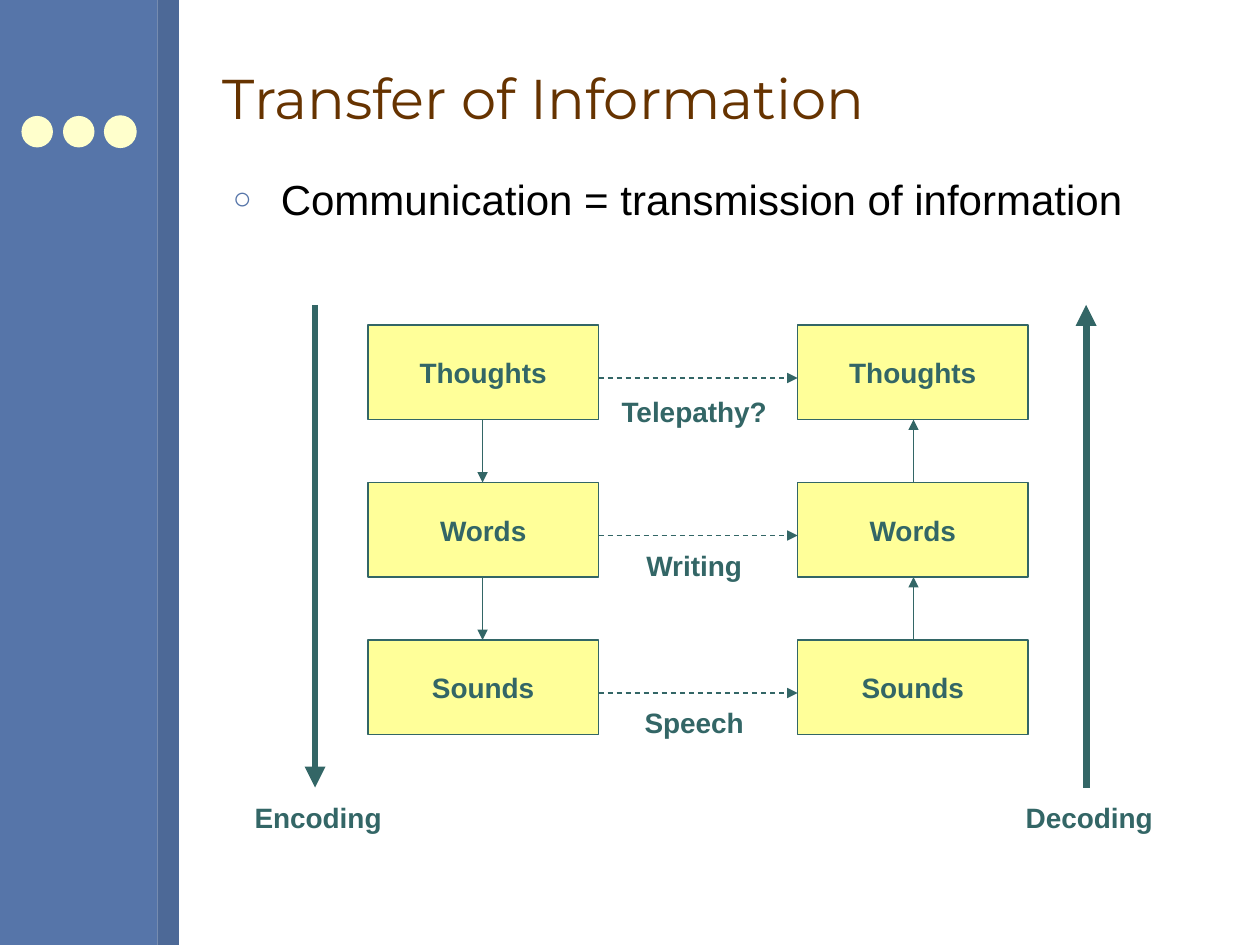
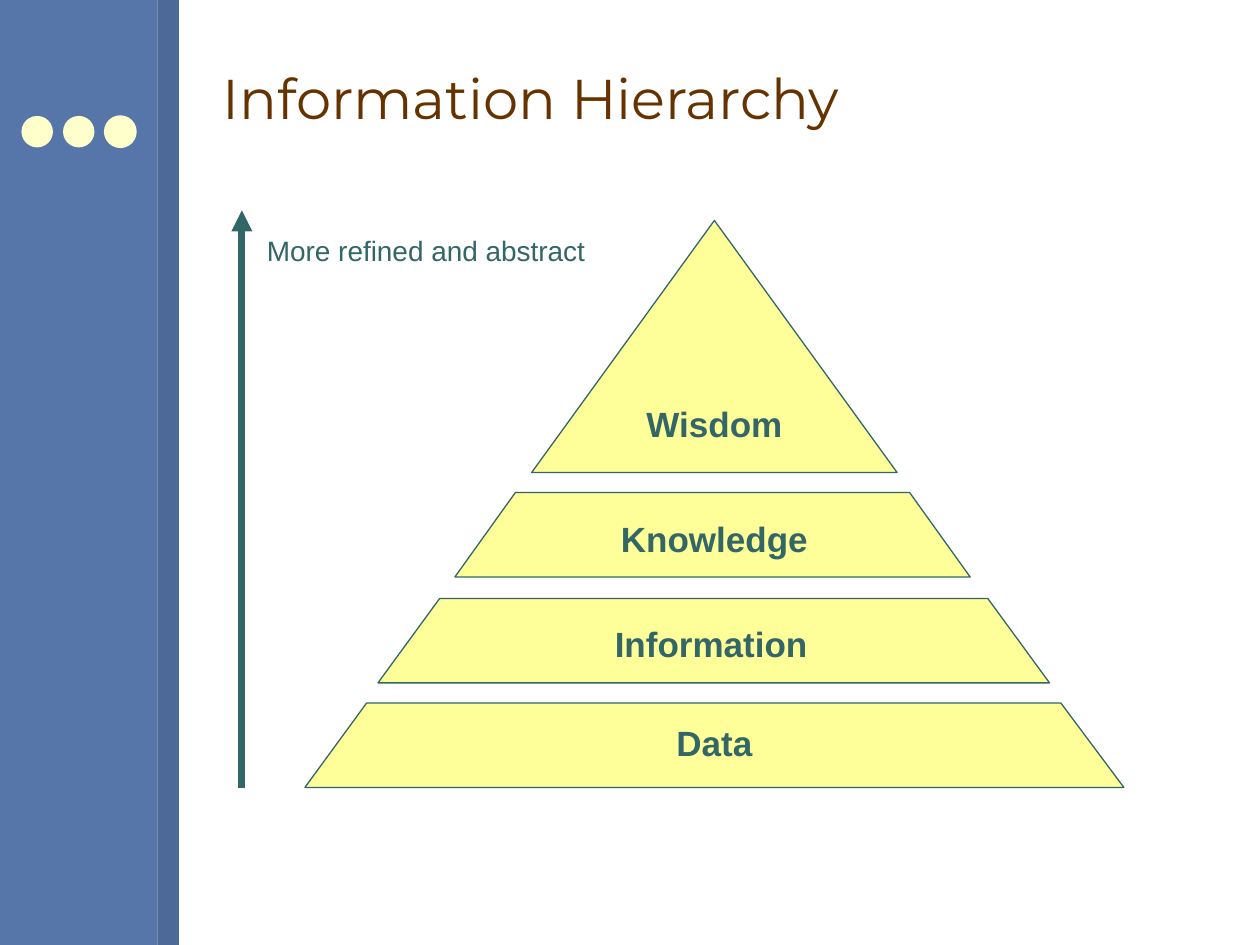
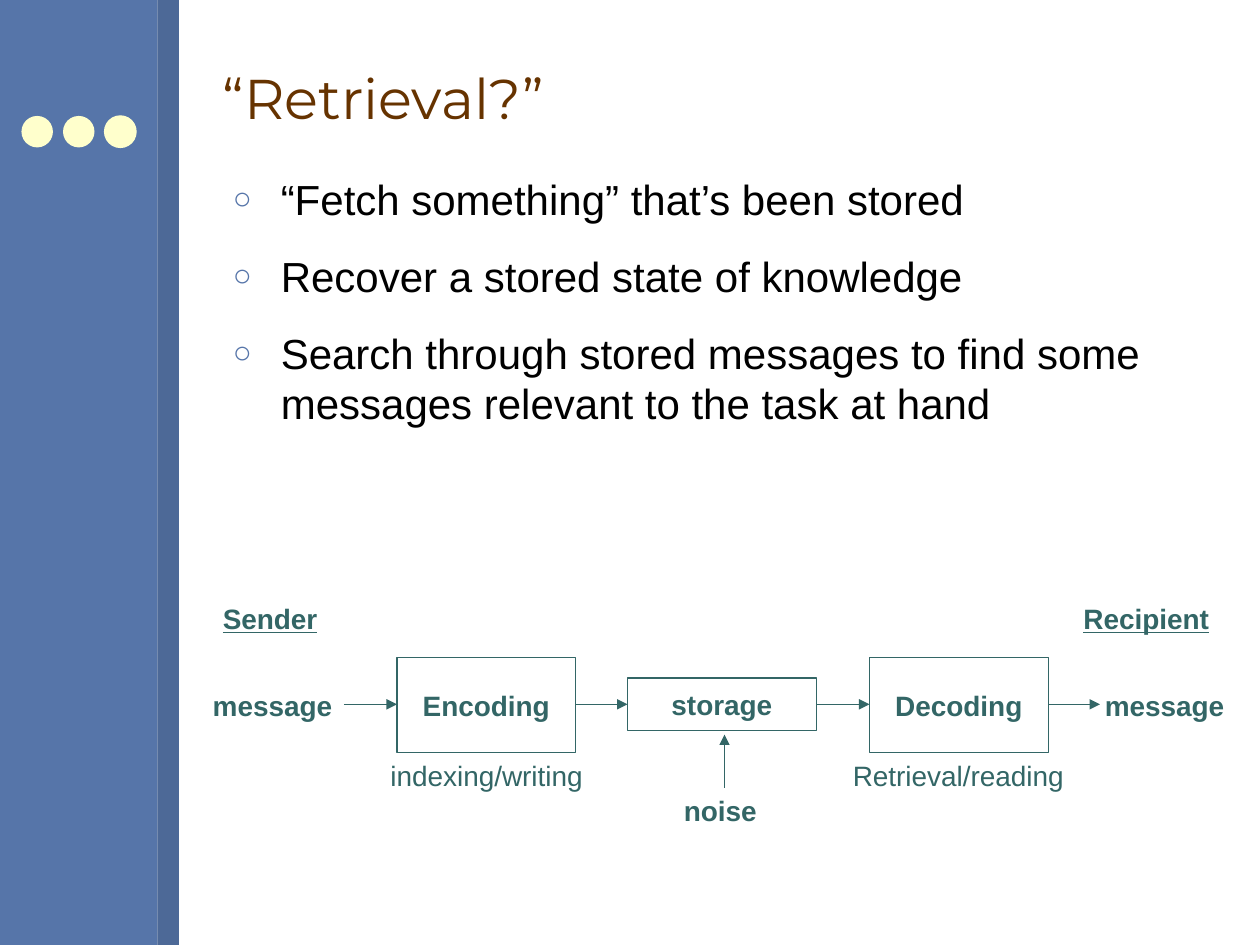
"""Build three slides on information transfer, hierarchy and retrieval."""
from dataclasses import dataclass

from lxml import etree
from pptx import Presentation
from pptx import util as u
from pptx.dml.color import RGBColor
from pptx.enum import dml, shapes, text
from pptx.oxml import ns


@dataclass(frozen=True)
class Theme:
    band: str = "5675A9"
    edge: str = "4D6997"
    dot: str = "FFFFCC"
    title: str = "663300"
    body: str = "000000"
    ink: str = "336666"
    panel: str = "FFFF99"
    heading_font: str = "Montserrat"
    font: str = "Arial"
    title_size: int = 32
    body_size: int = 24
    level_size: int = 20
    label_size: int = 16
    thin: float = 0.75
    thick: float = 4


theme = Theme()
RECT = shapes.MSO_SHAPE.RECTANGLE
OVAL = shapes.MSO_SHAPE.OVAL
LEFT, CENTER = text.PP_ALIGN.LEFT, text.PP_ALIGN.CENTER


def dress(shape, words="", fill=None, outline=None, color=theme.ink, size=theme.label_size,
          font=theme.font, bold=True, underline=None, align=CENTER, wrap=False):
    """Give a shape its fill, outline and one line of text."""
    shape.shadow.inherit = False
    for paint, tint in ((shape.fill, fill), (shape.line.fill, outline)):
        if tint:
            paint.solid()
            paint.fore_color.rgb = RGBColor.from_string(tint)
        else:
            paint.background()
    if outline:
        shape.line.width = u.Pt(theme.thin)
    if words:
        frame = shape.text_frame
        frame.word_wrap = wrap
        frame.vertical_anchor = text.MSO_ANCHOR.MIDDLE
        line = frame.paragraphs[0]
        line.text = words
        line.alignment = align
        line.font.name, line.font.size = font, u.Pt(size)
        line.font.bold, line.font.underline = bold, underline
        line.font.color.rgb = RGBColor.from_string(color)


def arrow(slide, start, end, weight=theme.thin, dashed=False):
    """Draw a straight arrow that points at its end."""
    link = slide.shapes.add_connector(shapes.MSO_CONNECTOR.STRAIGHT,
                                      *map(u.Inches, (*start, *end)))
    link.line.color.rgb = RGBColor.from_string(theme.ink)
    link.line.width = u.Pt(weight)
    if dashed:
        link.line.dash_style = dml.MSO_LINE.DASH
    etree.SubElement(link.line._get_or_add_ln(), ns.qn("a:tailEnd"), type="triangle")
    etree.SubElement(link._element.spPr, ns.qn("a:effectLst"))


deck = Presentation()
deck.slide_width, deck.slide_height = u.Inches(10), u.Inches(7.5)

outline = [
    ("Transfer of Information", ["Communication = transmission of information"]),
    ("Information Hierarchy", []),
    ("“Retrieval?”", [
        "“Fetch something” that’s been stored",
        "Recover a stored state of knowledge",
        "Search through stored messages to find some messages relevant to the task at hand",
    ]),
]
for heading, points in outline:
    slide = deck.slides.add_slide(deck.slide_layouts[6])
    for kind, at, tint in (
        (RECT, (0, 0, 1.25, 7.5), theme.band),
        (RECT, (1.25, 0, 0.17, 7.5), theme.edge),
        *((OVAL, (x, 0.92, 0.25, 0.25), theme.dot) for x in (0.17, 0.5, 0.83)),
    ):
        dress(slide.shapes.add_shape(kind, *map(u.Inches, at)), fill=tint,
              outline=theme.dot if at[0] == 0.83 else None)
    dress(slide.shapes.add_textbox(*map(u.Inches, (1.67, 0.21, 8, 1.13))), heading,
          color=theme.title, size=theme.title_size, font=theme.heading_font,
          bold=False, align=LEFT, wrap=True)
    if not points:
        continue
    body = slide.shapes.add_textbox(*map(u.Inches, (1.75, 1.33, 7.92, 5.83))).text_frame
    body.word_wrap = True
    body.text = "\n".join(points)
    for number, point in enumerate(body.paragraphs):
        props = point._p.get_or_add_pPr()
        props.set("marL", str(u.Inches(0.38)))
        props.set("indent", str(u.Inches(-0.38)))
        tint = etree.SubElement(props, ns.qn("a:buClr"))
        etree.SubElement(tint, ns.qn("a:srgbClr"), val=theme.band)
        etree.SubElement(props, ns.qn("a:buSzPct"), val="75000")
        etree.SubElement(props, ns.qn("a:buFont"), typeface=theme.font)
        etree.SubElement(props, ns.qn("a:buChar"), char="○")
        point.space_before = u.Pt(7.5 if number else 0)
        point.space_after = u.Pt(7.5)
        point.font.name, point.font.size = theme.font, u.Pt(theme.body_size)
        point.font.color.rgb = RGBColor.from_string(theme.body)

transfer, hierarchy, retrieval = deck.slides

stages = [("Thoughts", "Telepathy?", 3.08), ("Words", "Writing", 4.3), ("Sounds", "Speech", 5.55)]
sender_x, recipient_x, stage_w, stage_h, pitch = 2.92, 6.33, 1.83, 0.75, 1.25
for row, (stage, channel, channel_y) in enumerate(stages):
    top = 2.58 + row * pitch
    for x in (sender_x, recipient_x):
        dress(transfer.shapes.add_shape(RECT, *map(u.Inches, (x, top, stage_w, stage_h))),
              stage, fill=theme.panel, outline=theme.ink)
    arrow(transfer, (sender_x + stage_w, top + 0.42), (recipient_x, top + 0.42), dashed=True)
    dress(transfer.shapes.add_textbox(*map(u.Inches, (4.81, channel_y, 1.4, 0.37))), channel)
    if row:
        above = top - pitch + stage_h
        arrow(transfer, (3.83, above), (3.83, top))
        arrow(transfer, (7.25, top), (7.25, above))
arrow(transfer, (2.5, 2.42), (2.5, 6.25), theme.thick)
arrow(transfer, (8.62, 6.25), (8.62, 2.42), theme.thick)
for process, x in (("Encoding", 1.92), ("Decoding", 8.04)):
    dress(transfer.shapes.add_textbox(*map(u.Inches, (x, 6.3, 1.21, 0.37))), process)

levels = [
    ("Data", 6.25, (2.42, 8.92, 8.42, 2.91), (5.17, 5.67, 1, 0.44)),
    ("Information", 5.42, (3, 8.33, 7.84, 3.49), (4.63, 4.89, 2.03, 0.44)),
    ("Knowledge", 4.58, (3.61, 7.7, 7.22, 4.09), (4.67, 4.05, 2, 0.44)),
    ("Wisdom", 3.75, (), (4.92, 3.14, 1.5, 0.44)),
]
for level, base, corners, label_at in levels:
    if corners:
        heights = (base, base, base - 0.67, base - 0.67)
        start, *rest = [(u.Inches(x), u.Inches(y)) for x, y in zip(corners, heights)]
        builder = hierarchy.shapes.build_freeform(*start)
        builder.add_line_segments(rest, close=True)
        tier = builder.convert_to_shape()
    else:
        tier = hierarchy.shapes.add_shape(shapes.MSO_SHAPE.ISOSCELES_TRIANGLE,
                                          *map(u.Inches, (4.22, 1.75, 2.9, 2)))
    dress(tier, fill=theme.panel, outline=theme.ink)
    dress(hierarchy.shapes.add_textbox(*map(u.Inches, label_at)), level, size=theme.level_size)
arrow(hierarchy, (1.92, 6.25), (1.92, 1.67), theme.thick)
dress(hierarchy.shapes.add_textbox(*map(u.Inches, (2.02, 1.8, 2.85, 0.37))),
      "More refined and abstract", bold=False, align=LEFT)

for role, x, width in (("Sender", 1.67, 1), ("Recipient", 8.5, 1.25)):
    dress(retrieval.shapes.add_textbox(*map(u.Inches, (x, 4.72, width, 0.37))), role,
          underline=True, align=LEFT)
for step, at in (("Encoding", (3.15, 5.22, 1.42, 0.75)), ("storage", (4.98, 5.38, 1.5, 0.42)),
                 ("Decoding", (6.9, 5.22, 1.42, 0.75))):
    dress(retrieval.shapes.add_shape(RECT, *map(u.Inches, at)), step, outline=theme.ink)
for start_x, end_x in ((2.73, 3.15), (4.57, 4.98), (6.48, 6.9), (8.32, 8.73)):
    arrow(retrieval, (start_x, 5.59), (end_x, 5.59))
arrow(retrieval, (5.75, 6.25), (5.75, 5.83))
for note, at, bold in (
    ("message", (1.59, 5.41, 1.2, 0.37), True),
    ("message", (8.67, 5.41, 1.2, 0.37), True),
    ("noise", (5.33, 6.25, 0.83, 0.37), True),
    ("indexing/writing", (3, 5.97, 1.8, 0.37), False),
    ("Retrieval/reading", (6.67, 5.97, 2, 0.37), False),
):
    dress(retrieval.shapes.add_textbox(*map(u.Inches, at)), note, bold=bold, align=LEFT)

deck.save("out.pptx")
